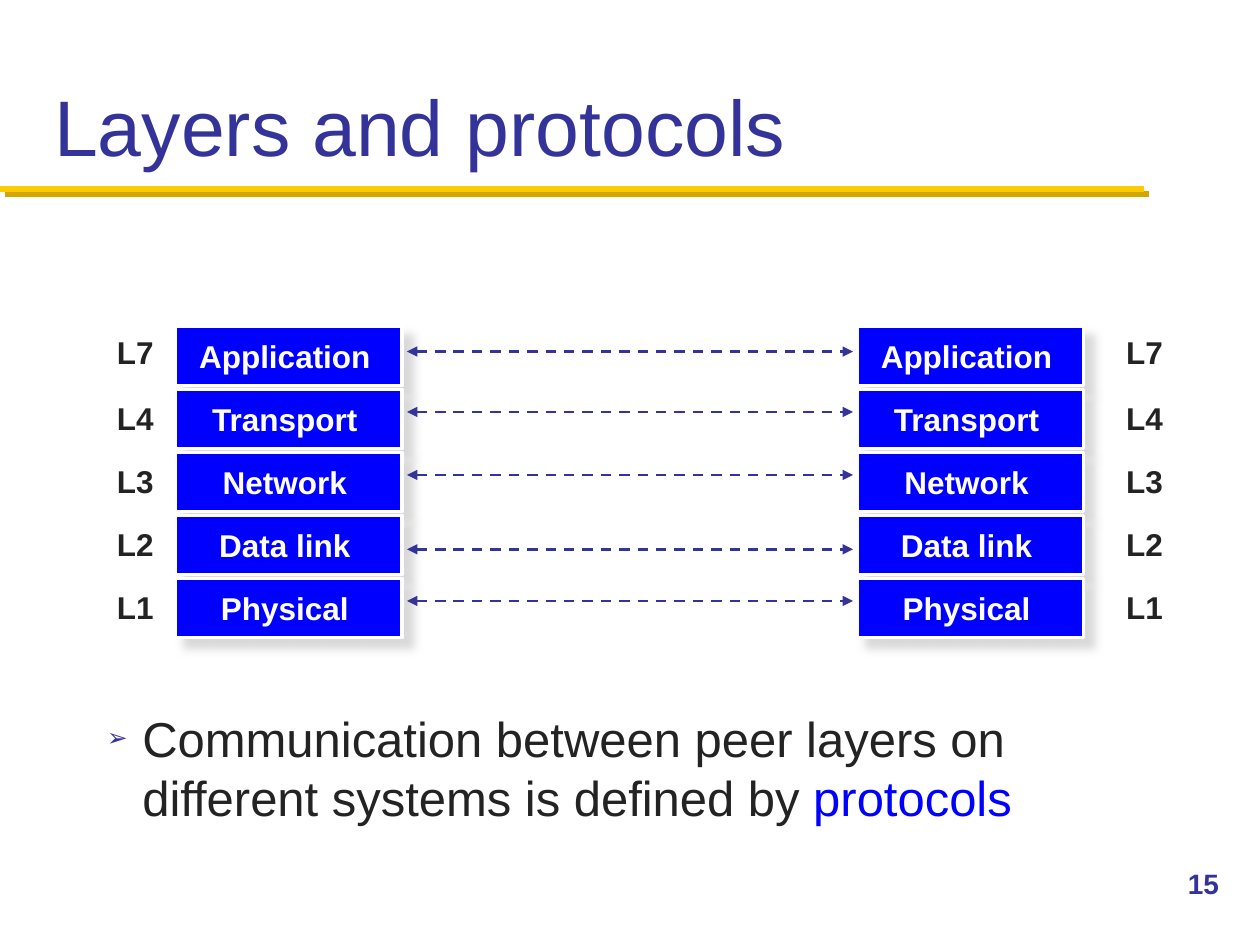
from lxml import etree
from pptx import Presentation
from pptx import util as u
from pptx.dml.color import RGBColor
from pptx.enum import dml, shapes, text
from pptx.oxml import ns

Inches, Pt = u.Inches, u.Pt

HUES = {
    "ink": "232323", "navy": "333399", "blue": "0000FF", "white": "FFFFFF",
    "gold": "FFCB05", "ochre": "D3A600", "grey": "CECECE",
}
# Layer name, name width, level, level top, arrow height
ROWS = [
    ("Application", 1.69, "L7", 2.59, 2.79),
    ("Transport", 1.45, "L4", 3.12, 3.27),
    ("Network", 1.27, "L3", 3.62, 3.77),
    ("Data link", 1.33, "L2", 4.12, 4.36),
    ("Physical", 1.30, "L1", 4.62, 4.77),
]
TOP, STEP = 2.59, 0.5
BOX_W, BOX_H, NAME_H = 1.8, 0.47, 0.39


def hue(name):
    return RGBColor.from_string(HUES[name])


def add(node, tag, **attrs):
    return etree.SubElement(node, ns.qn(tag), attrs)


def style(run, size, color, bold=False):
    font = run.font
    font.name, font.size, font.bold = "Arial", Pt(size), bold
    font.color.rgb = hue(color)


def inset(frame, left, top, right, bottom):
    frame.margin_left, frame.margin_top = Inches(left), Inches(top)
    frame.margin_right, frame.margin_bottom = Inches(right), Inches(bottom)


def place(shape, x, y, w, h):
    shape.left, shape.top = Inches(x), Inches(y)
    shape.width, shape.height = Inches(w), Inches(h)


def shade(shape, color, alpha, blur, dist):
    props = shape._element.spPr
    for old in props.findall(ns.qn("a:effectLst")):
        props.remove(old)
    glow = add(add(props, "a:effectLst"), "a:outerShdw", blurRad=str(Pt(blur)),
               dist=str(Pt(dist)), dir="2700000", algn="ctr", rotWithShape="0")
    add(add(glow, "a:srgbClr", val=HUES[color]), "a:alpha", val=str(alpha * 1000))


def draw_line(slide, x1, x2, y, color, width):
    line = slide.shapes.add_connector(
        shapes.MSO_CONNECTOR.STRAIGHT, Inches(x1), Inches(y), Inches(x2), Inches(y))
    line.line.color.rgb = hue(color)
    line.line.width = Pt(width)
    return line


def add_rect(parent, x, y, w, h, color):
    rect = parent.shapes.add_shape(
        shapes.MSO_SHAPE.RECTANGLE, Inches(x), Inches(y), Inches(w), Inches(h))
    rect.shadow.inherit = False
    rect.fill.solid()
    rect.fill.fore_color.rgb = hue(color)
    rect.line.fill.background()
    return rect


def write(rect, words, color, align):
    frame = rect.text_frame
    frame.word_wrap = False
    frame.text = words
    para = frame.paragraphs[0]
    para.alignment = align
    style(para.runs[0], 18, color, True)
    return frame


def add_title(slide, x, y, w, h):
    title = slide.shapes.title
    place(title, x, y, w, h)
    frame = title.text_frame
    frame.text = "Layers and protocols"
    frame.vertical_anchor = text.MSO_ANCHOR.BOTTOM
    inset(frame, 0.1, 0.05, 0.1, 0.05)
    frame.paragraphs[0].alignment = text.PP_ALIGN.LEFT
    style(frame.paragraphs[0].runs[0], 45, "navy")


def add_stack(slide, x, level_x):
    for i, (name, width, level, level_y, _) in enumerate(ROWS):
        y = TOP + i * STEP
        # Framed box with its name on top
        group = slide.shapes.add_group_shape()
        box = add_rect(group, x, y, BOX_W, BOX_H, "blue")
        box.line.color.rgb = hue("white")
        box.line.width = Pt(2)
        shade(box, "grey", 75, 5, 8)
        label = add_rect(group, x + (BOX_W - width) / 2, y + (BOX_H - NAME_H) / 2,
                         width, NAME_H, "blue")
        frame = write(label, name, "white", text.PP_ALIGN.CENTER)
        inset(frame, 0.04, 0.04, 0.1, 0.04)
        # Level beside the box
        tag = add_rect(slide, level_x, level_y, 0.5, 0.4, "white")
        write(tag, level, "ink", text.PP_ALIGN.LEFT)


def add_links(slide, x1, x2):
    for *_, y in ROWS:
        link = draw_line(slide, x1, x2, y, "navy", 1.5)
        link.line.dash_style = dml.MSO_LINE.DASH
        ends = link.line._get_or_add_ln()
        for tag in ("a:headEnd", "a:tailEnd"):
            add(ends, tag, type="triangle")
        add(link._element.spPr, "a:effectLst")


def add_body(slide, x, y, w, h):
    body = slide.placeholders[1]
    place(body, x, y, w, h)
    frame = body.text_frame
    inset(frame, 0.1, 0.05, 0.1, 0.05)
    para = frame.paragraphs[0]
    para.text = "Communication between peer layers on\vdifferent systems is defined by "
    para.add_run().text = "protocols"
    props = para._p.get_or_add_pPr()
    props.set("marL", str(Inches(0.28)))
    props.set("indent", str(Inches(-0.28)))
    add(add(props, "a:buClr"), "a:srgbClr", val=HUES["navy"])
    add(props, "a:buSzPct", val="50000")
    add(props, "a:buFont", typeface="Arial")
    add(props, "a:buChar", char="➢")
    para.space_before = Pt(0)
    para.line_spacing = Pt(33.7)
    for run in para.runs:
        style(run, 28, "ink")
    para.runs[-1].font.color.rgb = hue("blue")


def add_number(slide, x, y, w, h):
    box = slide.shapes.add_textbox(Inches(x), Inches(y), Inches(w), Inches(h))
    box.text_frame.word_wrap = True
    box.text_frame.text = "15"
    style(box.text_frame.paragraphs[0].runs[0], 16, "navy", True)


def main():
    deck = Presentation()
    deck.slide_width, deck.slide_height = Inches(10), Inches(7.5)
    slide = deck.slides.add_slide(deck.slide_layouts[1])

    # Heading and rule
    add_title(slide, 0.33, 0.17, 9.33, 1.25)
    rule = draw_line(slide, 0, 9.08, 1.5, "gold", 3.5)
    shade(rule, "ochre", 100, 0, 4.2)

    # Two systems and the links between their peer layers
    add_stack(slide, 1.39, 0.83)
    add_links(slide, 3.23, 6.77)
    add_stack(slide, 6.8, 8.84)

    # Statement and page number
    add_body(slide, 0.75, 5.57, 8.67, 1.01)
    add_number(slide, 9.33, 6.83, 0.67, 0.5)
    deck.save("out.pptx")


if __name__ == "__main__":
    main()
